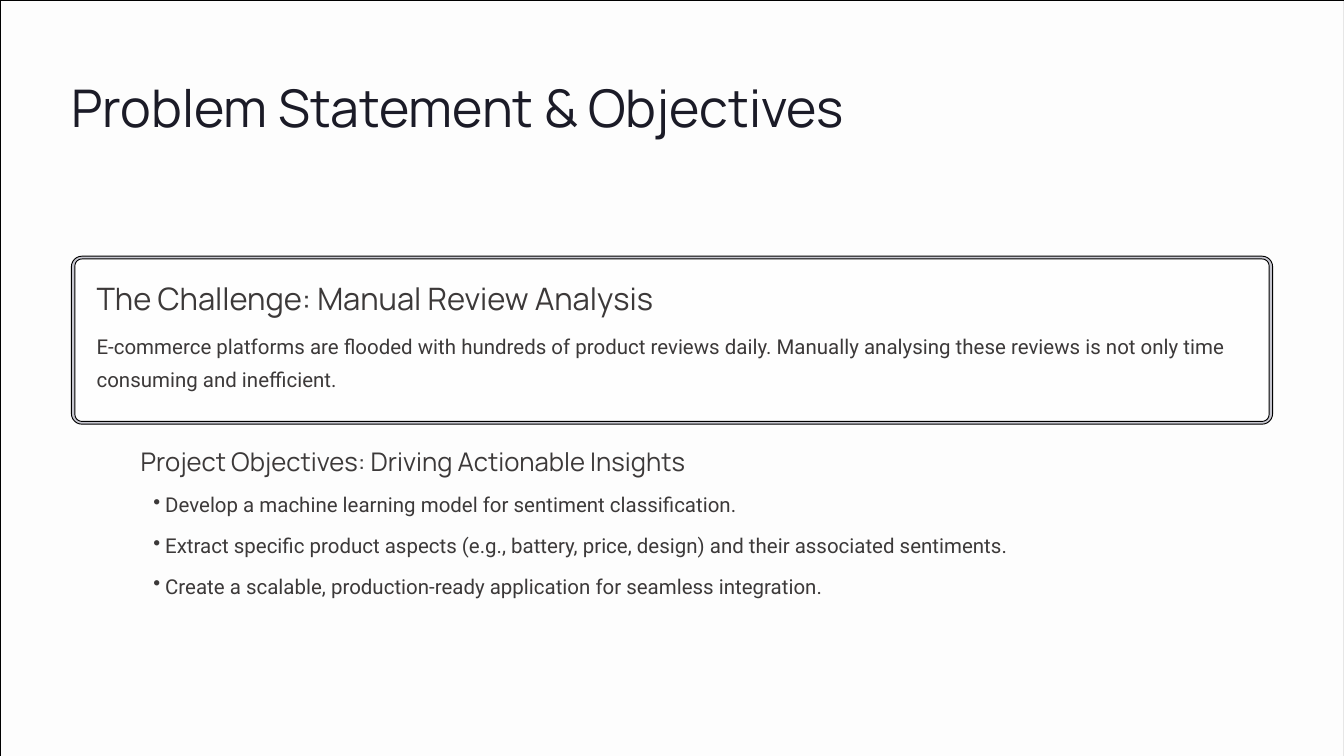
from dataclasses import dataclass
from math import cos, radians, sin

from lxml.etree import SubElement
from pptx import Presentation
from pptx.dml.color import RGBColor
from pptx.enum.shapes import MSO_SHAPE
from pptx.enum.text import MSO_AUTO_SIZE
from pptx.oxml.ns import qn
from pptx.shapes.autoshape import Shape
from pptx.slide import Slide
from pptx.util import Emu, Pt

PX = 9525
INK, GREY = "1B1B27", "3C3939"


@dataclass
class Box:
    """A rectangle in px with a corner radius."""
    x: int
    y: int
    w: int
    h: int
    r: int = 0


@dataclass
class Label:
    """A piece of text, its place and its style."""
    text: str
    box: Box
    size: float
    lead: float
    font: str = "Manrope"
    color: str = GREY
    bullet: bool = False


def px(n: float) -> Emu:
    """Turn px into EMU."""
    return Emu(round(n * PX))


def rgb(code: str) -> RGBColor:
    """Turn a hex string into a colour."""
    return RGBColor.from_string(code)


def paint(shape: Shape, fill: str, alpha: int = 100) -> None:
    """Fill a shape and give it a thin black outline."""
    shape.shadow.inherit = False
    shape.fill.solid()
    shape.fill.fore_color.rgb = rgb(fill)
    if alpha < 100:
        tint = shape.fill._xPr.find(qn("a:solidFill"))[0]
        SubElement(tint, qn("a:alpha"), val=str(alpha * 1000))
    shape.line.color.rgb = rgb("000000")
    shape.line.width = Pt(1)


def panel(slide: Slide, box: Box, fill: str, alpha: int = 100) -> None:
    """Draw a rectangle, rounded if it has a radius."""
    kind = MSO_SHAPE.ROUNDED_RECTANGLE if box.r else MSO_SHAPE.RECTANGLE
    shape = slide.shapes.add_shape(kind, px(box.x), px(box.y), px(box.w), px(box.h))
    if box.r:
        shape.adjustments[0] = box.r / min(box.w, box.h)
    paint(shape, fill, alpha)


def trace(box: Box) -> list[tuple[int, int]]:
    """List the outline points of a rounded rectangle."""
    left, right = box.x + box.r, box.x + box.w - box.r
    top, base = box.y + box.r, box.y + box.h - box.r
    hubs = [(right, base), (left, base), (left, top), (right, top)]
    return [
        (px(x + box.r * cos(radians(turn))), px(y + box.r * sin(radians(turn))))
        for i, (x, y) in enumerate(hubs)
        for turn in range(i * 90, i * 90 + 91, 15)
    ]


def ring(slide: Slide, outer: Box, inner: Box, fill: str) -> None:
    """Draw a rounded frame with an open middle."""
    first, *rest = trace(outer)
    pen = slide.shapes.build_freeform(*first)
    pen.add_line_segments(rest)
    first, *rest = reversed(trace(inner))
    pen.move_to(*first)
    pen.add_line_segments(rest)
    paint(pen.convert_to_shape(), fill)


def write(slide: Slide, label: Label) -> None:
    """Place one label as a text box."""
    box = label.box
    frame = slide.shapes.add_textbox(px(box.x), px(box.y), px(box.w), px(box.h)).text_frame
    frame.margin_left = frame.margin_right = frame.margin_top = frame.margin_bottom = 0
    frame.word_wrap = True
    frame.auto_size = MSO_AUTO_SIZE.SHAPE_TO_FIT_TEXT
    para = frame.paragraphs[0]
    para.text = label.text
    para.line_spacing = Pt(label.lead)
    if label.bullet:
        para.level = 1
        props = para._p.get_or_add_pPr()
        props.set("marL", str(px(35)))
        props.set("indent", str(px(-17)))
        SubElement(props, qn("a:buChar"), char="•")
    para.font.name = label.font
    para.font.size = Pt(label.size)
    para.font.color.rgb = rgb(label.color)


GOALS = [
    "Develop a machine learning model for sentiment classification.",
    "Extract specific product aspects (e.g., battery, price, design) and their associated sentiments.",
    "Create a scalable, production-ready application for seamless integration.",
]
LABELS = [
    Label("Problem Statement & Objectives", Box(102, 105, 1120, 96), 55.6, 69.4, color=INK),
    Label("The Challenge: Manual Review Analysis", Box(138, 398, 811, 59), 33.1, 41.2),
    Label(
        "E-commerce platforms are flooded with hundreds of product reviews daily. "
        "Manually analysing these reviews is not only time consuming and inefficient.",
        Box(138, 465, 1644, 92), 21.9, 35.6, "Roboto",
    ),
    Label("Project Objectives: Driving Actionable Insights", Box(201, 635, 782, 50), 27.5, 34.4),
] + [
    Label(goal, Box(201, 691 + 58 * i, 1615, 58), 21.9, 35.6, "Roboto", bullet=True)
    for i, goal in enumerate(GOALS)
]


def main() -> None:
    """Build and save the slide."""
    deck = Presentation()
    deck.slide_width, deck.slide_height = px(1920), px(1080)
    slide = deck.slides.add_slide(deck.slide_layouts[6])
    panel(slide, Box(0, 0, 1920, 1080), "ECECF3")
    panel(slide, Box(1, 1, 1920, 1080), "FFFFFF", 90)
    panel(slide, Box(104, 368, 1712, 236, 13), "FFFFFF", 90)
    ring(slide, Box(102, 366, 1716, 240, 15), Box(107, 370, 1706, 232, 10), "C7C7D0")
    for label in LABELS:
        write(slide, label)
    deck.save("out.pptx")


if __name__ == "__main__":
    main()
